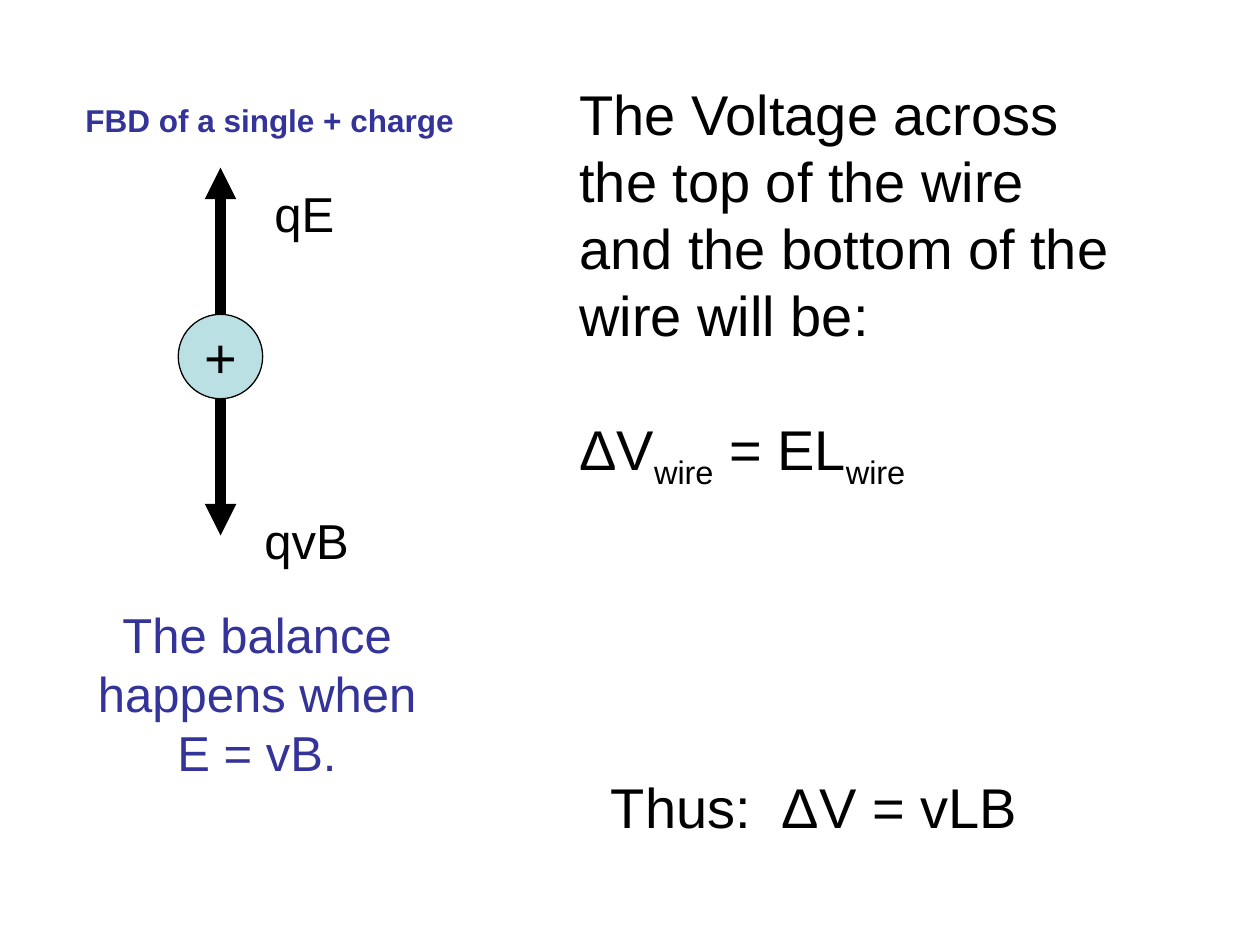
from lxml import etree
from pptx import Presentation
from pptx.dml.color import RGBColor
from pptx.enum.shapes import MSO_CONNECTOR, MSO_SHAPE
from pptx.enum.text import MSO_ANCHOR, MSO_AUTO_SIZE, PP_ALIGN
from pptx.oxml.ns import qn
from pptx.util import Inches, Pt

STRAIGHT = MSO_CONNECTOR.STRAIGHT
OVAL = MSO_SHAPE.OVAL
MIDDLE = MSO_ANCHOR.MIDDLE
FIT_SHAPE = MSO_AUTO_SIZE.SHAPE_TO_FIT_TEXT
LEFT, CENTER = PP_ALIGN.LEFT, PP_ALIGN.CENTER

FONT = "Arial"
COLORS = {"ink": "000000", "accent": "333399", "charge": "BBE0E3"}


def color(name):
    return RGBColor.from_string(COLORS[name])


def style_paragraph(para, size, ink="ink", bold=False, align=LEFT):
    para.alignment = align
    para.font.name = FONT
    para.font.size = Pt(size)
    para.font.bold = bold
    para.font.color.rgb = color(ink)


def add_text(page, box, text, size, **style):
    """Place a wrapped text box with one paragraph and return its frame."""
    frame = page.shapes.add_textbox(*map(Inches, box)).text_frame
    frame.word_wrap = True
    frame.auto_size = FIT_SHAPE
    frame.text = text
    style_paragraph(frame.paragraphs[0], size, **style)
    return frame


def add_force(page, x, start, end):
    """Draw a vertical force arrow pointing from start to end."""
    arrow = page.shapes.add_connector(
        STRAIGHT, Inches(x), Inches(start), Inches(x), Inches(end))
    arrow.line.color.rgb = color("ink")
    arrow.line.width = Pt(6)
    etree.SubElement(arrow.line._get_or_add_ln(), qn("a:tailEnd"), type="triangle")
    etree.SubElement(arrow._element.spPr, qn("a:effectLst"))


def add_charge(page, x, y, size):
    """Draw the positive charge centred on (x, y)."""
    charge = page.shapes.add_shape(
        OVAL, Inches(x - size / 2), Inches(y - size / 2), Inches(size), Inches(size))
    charge.shadow.inherit = False
    charge.fill.solid()
    charge.fill.fore_color.rgb = color("charge")
    charge.line.color.rgb = color("ink")
    charge.line.width = Pt(0.75)
    frame = charge.text_frame
    frame.word_wrap = False
    frame.vertical_anchor = MIDDLE
    frame.text = "+"
    style_paragraph(frame.paragraphs[0], 32, align=CENTER)


def add_free_body_diagram(page, left, top):
    x = left + 1.17
    add_force(page, x, top + 2.33, top + 3.5)
    add_charge(page, x, top + 2.08, 0.67)
    add_force(page, x, top + 1.75, top + 0.58)
    add_text(page, (left + 1.42, top + 3.25, 1.17, 0.57), "qvB", 28)
    add_text(page, (left + 1.5, top + 0.66, 1.17, 0.57), "qE", 28)
    add_text(page, (left, top, 3.42, 0.4), "FBD of a single + charge", 18,
             ink="accent", bold=True)
    add_text(page, (left, top + 4, 2.92, 1.5), "The balance happens when E = vB.", 28,
             ink="accent", align=CENTER)


def add_voltage_derivation(page, left, top):
    frame = add_text(
        page, (left, top, 4.5, 4.63),
        "The Voltage across the top of the wire and the bottom of the wire will be:", 32)
    equation = frame.add_paragraph()
    style_paragraph(equation, 32)
    equation.space_before = Pt(38)
    for symbol in ("ΔV", " = EL"):
        equation.add_run().text = symbol
        subscript = equation.add_run()
        subscript.text = "wire"
        subscript.font._element.set("baseline", "-25000")
    add_text(page, (left + 0.25, top + 5.5, 4.17, 0.63), "Thus:  ΔV = vLB", 32)


def main():
    deck = Presentation()
    deck.slide_width, deck.slide_height = Inches(10), Inches(7.5)
    page = deck.slides.add_slide(deck.slide_layouts[6])
    add_free_body_diagram(page, 0.58, 0.75)
    add_voltage_derivation(page, 4.5, 0.58)
    deck.save("out.pptx")


if __name__ == "__main__":
    main()
